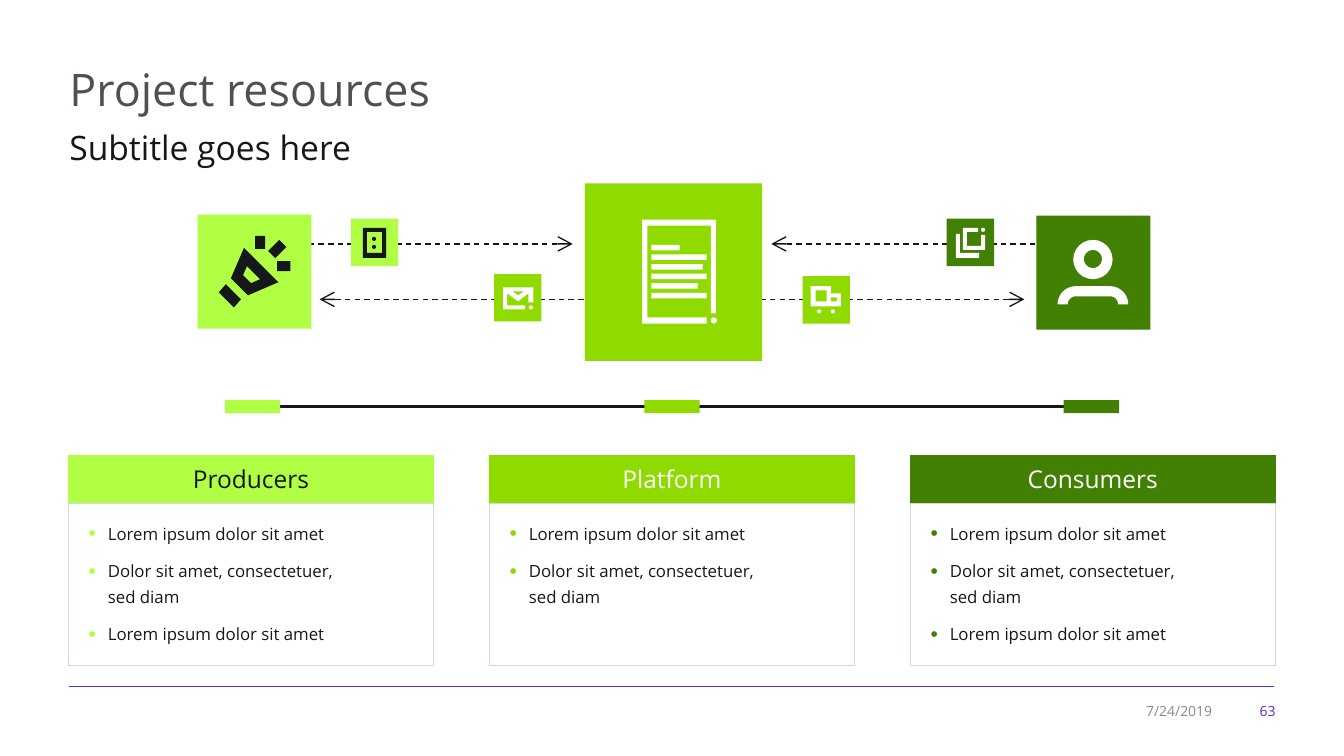
import math
import pptx
import pptx.util
from lxml import etree
from pptx.dml.color import RGBColor
from pptx.enum.dml import MSO_LINE
from pptx.enum.shapes import MSO_CONNECTOR, MSO_SHAPE
from pptx.enum.text import MSO_ANCHOR, PP_ALIGN
from pptx.oxml.ns import qn
from pptx.util import Inches, Pt

FONT = "Open Sans"
LIME = RGBColor(0xB0, 0xFF, 0x45)
GREEN = RGBColor(0x8F, 0xDB, 0x00)
FOREST = RGBColor(0x42, 0x80, 0x03)
INK = RGBColor(0x16, 0x17, 0x18)
WHITE = RGBColor(0xFF, 0xFF, 0xFF)
SLATE = RGBColor(0x4D, 0x51, 0x54)
GREY = RGBColor(0x86, 0x8B, 0x90)
PALE = RGBColor(0xD1, 0xDA, 0xDB)
PURPLE = RGBColor(0x62, 0x2A, 0xD8)


def rect(left, top, right, bottom):
    return [(left, top), (right, top), (right, bottom), (left, bottom)]


def arc(x, y, radius, start, end, steps=24):
    angles = [math.radians(start + (end - start) * i / steps) for i in range(steps + 1)]
    return [(x + radius * math.cos(a), y + radius * math.sin(a)) for a in angles]


def disc(x, y, radius):
    return arc(x, y, radius, 0, 360)


LOREM = "Lorem ipsum dolor sit amet"
DOLOR = "Dolor sit amet, consectetuer,\vsed diam"
CARDS = [
    ("Producers", LIME, INK, [LOREM, DOLOR, LOREM]),
    ("Platform", GREEN, WHITE, [LOREM, DOLOR]),
    ("Consumers", FOREST, WHITE, [LOREM, DOLOR, LOREM]),
]
CARD_LEFT, CARD_TOP, CARD_WIDTH, CARD_STEP = 0.68, 4.52, 3.62, 4.175
CARD_ROWS = (0.47, 1.61)
MARKER_LEFT, MARKER_STEP = 2.23, 4.16

# text, (left, top, width, height), size, colour, alignment, anchor
LABELS = [
    ("Project resources", (0.59, 0.56, 12.16, 0.66), 32, SLATE, PP_ALIGN.LEFT, MSO_ANCHOR.TOP),
    ("Subtitle goes here", (0.59, 1.14, 12.03, 0.54), 24, INK, PP_ALIGN.LEFT, MSO_ANCHOR.TOP),
    ("63", (12.24, 6.92, 0.51, 0.26), 10, PURPLE, PP_ALIGN.RIGHT, MSO_ANCHOR.MIDDLE),
    ("7/24/2019", (11.17, 6.92, 0.95, 0.26), 10, GREY, PP_ALIGN.RIGHT, MSO_ANCHOR.MIDDLE),
]

# start x, end x, y
FLOWS = [(5.79, 3.17, 2.97), (3.06, 5.68, 2.42), (10.27, 7.65, 2.42), (7.54, 10.16, 2.97)]

COPIES = [
    [(9.73, 2.33), (9.77, 2.33), (9.77, 2.48), (9.55, 2.48), (9.55, 2.26),
     (9.7, 2.26), (9.7, 2.3), (9.59, 2.3), (9.59, 2.44), (9.73, 2.44)],
    [(9.52, 2.32), (9.48, 2.32), (9.48, 2.56), (9.71, 2.56), (9.71, 2.51), (9.52, 2.51)],
    disc(9.75, 2.28, 0.02),
]
PERSON = [
    disc(10.84, 2.575, 0.195),
    disc(10.84, 2.57, 0.09),
    arc(10.67, 3.02, 0.18, 180, 270) + arc(11.01, 3.02, 0.18, 270, 360)
    + arc(11.01, 3.02, 0.08, 360, 270) + arc(10.67, 3.02, 0.08, 270, 180),
]
MEGAPHONE = [
    [(2.29, 2.76), (2.46, 2.93), (2.76, 2.8), (2.42, 2.46)],
    [(2.58, 2.77), (2.49, 2.81), (2.41, 2.73), (2.45, 2.64)],
    [(2.24, 2.82), (2.39, 2.97), (2.32, 3.05), (2.17, 2.9)],
    rect(2.53, 2.34, 2.63, 2.47),
    [(2.73, 2.56), (2.66, 2.49), (2.77, 2.38), (2.84, 2.45)],
    rect(2.75, 2.59, 2.88, 2.69),
]
ENVELOPE = [
    disc(5.265, 3.05, 0.02),
    [(5.29, 2.85), (5.29, 3), (5.24, 3), (5.24, 2.91), (5.14, 2.99), (5.03, 2.91),
     (5.03, 3.03), (5.21, 3.03), (5.21, 3.07), (4.99, 3.07), (4.99, 2.85)],
    [(5.14, 2.93), (5.2, 2.89), (5.08, 2.89)],
]
TRUCK = [
    disc(8.125, 3.09, 0.02),
    disc(8.26, 3.09, 0.02),
    [(8.34, 2.91), (8.34, 3.04), (8.04, 3.04), (8.04, 2.84), (8.24, 2.84), (8.24, 2.91)],
    rect(8.09, 2.88, 8.2, 2.99),
    rect(8.24, 2.95, 8.3, 2.99),
]
TEXT_LINE_ENDS = [6.74, 7.01, 6.97, 7.01, 6.92, 7.01]
DOCUMENT = [
    [(7.1, 2.18), (7.1, 3.11), (7.05, 3.11), (7.05, 2.24), (6.42, 2.24), (6.42, 3.15),
     (7.01, 3.15), (7.01, 3.21), (6.37, 3.21), (6.37, 2.18)],
    *[rect(6.46, 2.43 + 0.095 * i, end, 2.485 + 0.095 * i) for i, end in enumerate(TEXT_LINE_ENDS)],
    disc(7.08, 3.18, 0.03),
]
DOOR = [
    rect(3.6, 2.26, 3.83, 2.56),
    rect(3.64, 2.3, 3.79, 2.51),
    disc(3.71, 2.37, 0.02),
    disc(3.71, 2.45, 0.02),
]

# left, top, size, tile colour, icon colour, icon outlines
TILES = [
    (9.39, 2.17, 0.47, FOREST, WHITE, COPIES),
    (10.28, 2.14, 1.13, FOREST, WHITE, PERSON),
    (1.96, 2.13, 1.13, LIME, INK, MEGAPHONE),
    (4.9, 2.72, 0.47, GREEN, WHITE, ENVELOPE),
    (7.96, 2.74, 0.47, GREEN, WHITE, TRUCK),
    (5.8, 1.82, 1.76, GREEN, WHITE, DOCUMENT),
    (3.48, 2.17, 0.47, LIME, INK, DOOR),
]


def style_text(para, size, colour):
    para.font.name, para.font.size, para.font.color.rgb = FONT, Pt(size), colour


def paint(shape, colour):
    shape.shadow.inherit = False
    shape.fill.solid()
    shape.fill.fore_color.rgb = colour
    shape.line.fill.background()


def add_block(shapes, left, top, width, height, colour):
    block = shapes.add_shape(MSO_SHAPE.RECTANGLE, *map(Inches, (left, top, width, height)))
    paint(block, colour)


def add_line(x1, x2, y, colour, width):
    line = page.shapes.add_connector(MSO_CONNECTOR.STRAIGHT, *map(Inches, (x1, y, x2, y)))
    line.line.color.rgb, line.line.width = colour, Pt(width)
    etree.SubElement(line._element.spPr, qn("a:effectLst"))
    return line


def add_icon(shapes, outlines, colour):
    """Draw all outlines as one shape; an outline inside another cuts a hole."""
    outlines = [[(Inches(x), Inches(y)) for x, y in outline] for outline in outlines]
    builder = shapes.build_freeform(*outlines[0][0])
    for i, outline in enumerate(outlines):
        if i:
            builder.move_to(*outline[0])
        builder.add_line_segments(outline[1:], close=True)
    paint(builder.convert_to_shape(), colour)


def set_borders(cell, colour):
    properties = cell._tc.get_or_add_tcPr()
    for i, side in enumerate(("lnL", "lnR", "lnT", "lnB")):
        border = etree.Element(qn(f"a:{side}"), w=str(Pt(0.5)))
        fill = etree.SubElement(border, qn("a:solidFill"))
        etree.SubElement(fill, qn("a:srgbClr"), val=str(colour))
        properties.insert(i, border)


def set_bullet(para, colour):
    properties = para._p.get_or_add_pPr()
    properties.set("marL", str(Inches(0.19)))
    properties.set("indent", str(-Inches(0.19)))
    bullet_colour = etree.SubElement(properties, qn("a:buClr"))
    etree.SubElement(bullet_colour, qn("a:srgbClr"), val=str(colour))
    etree.SubElement(properties, qn("a:buSzPct"), val="125000")
    etree.SubElement(properties, qn("a:buFont"), typeface="Arial")
    etree.SubElement(properties, qn("a:buChar"), char="•")


def add_card(left, heading, colour, heading_colour, items):
    frame = page.shapes.add_table(
        2, 1, *map(Inches, (left, CARD_TOP, CARD_WIDTH, sum(CARD_ROWS))))
    table = frame.table
    table.first_row = table.horz_banding = False
    for row, height in zip(table.rows, CARD_ROWS):
        row.height = Inches(height)

    head, body = table.cell(0, 0), table.cell(1, 0)
    head.fill.solid()
    head.fill.fore_color.rgb = colour
    head.vertical_anchor = MSO_ANCHOR.MIDDLE
    head.text = heading
    para = head.text_frame.paragraphs[0]
    para.alignment = PP_ALIGN.CENTER
    style_text(para, 17.5, heading_colour)
    set_borders(head, colour)

    body.fill.background()
    body.margin_left, body.margin_top = Inches(0.2), Inches(0.16)
    body.margin_right, body.margin_bottom = Inches(0.1), Inches(0.05)
    body.text = "\n".join(items)
    for para, item in zip(body.text_frame.paragraphs, items):
        para.text = item
        para.line_spacing, para.space_after = 1.14, Pt(8)
        set_bullet(para, colour)
        style_text(para, 12, INK)
    set_borders(body, PALE)


deck = pptx.Presentation()
deck.slide_width, deck.slide_height = Inches(13.33), Inches(7.5)
page = deck.slides.add_slide(deck.slide_layouts[6])

add_line(0.68, 12.64, 6.81, PURPLE, 0.75)
for text, place, size, colour, alignment, anchor in LABELS:
    box = page.shapes.add_textbox(*map(Inches, place))
    box.text_frame.word_wrap = True
    box.text_frame.vertical_anchor = anchor
    para = box.text_frame.paragraphs[0]
    para.text, para.alignment = text, alignment
    if size == 24:
        para.line_spacing = 1.17
    style_text(para, size, colour)

for start, end, y in FLOWS:
    flow = add_line(start, end, y, INK, 1)
    flow.line.dash_style = MSO_LINE.DASH
    etree.SubElement(flow.line._get_or_add_ln(), qn("a:tailEnd"), type="arrow", w="lg", len="lg")

add_line(2.51, 10.83, 4.03, INK, 2)
for i, (heading, colour, heading_colour, items) in enumerate(CARDS):
    add_block(page.shapes, MARKER_LEFT + i * MARKER_STEP, 3.97, 0.55, 0.13, colour)
    add_card(CARD_LEFT + i * CARD_STEP, heading, colour, heading_colour, items)

for left, top, size, colour, icon_colour, outlines in TILES:
    tile = page.shapes.add_group_shape()
    add_block(tile.shapes, left, top, size, size, colour)
    add_icon(tile.shapes, outlines, icon_colour)

deck.save("out.pptx")
